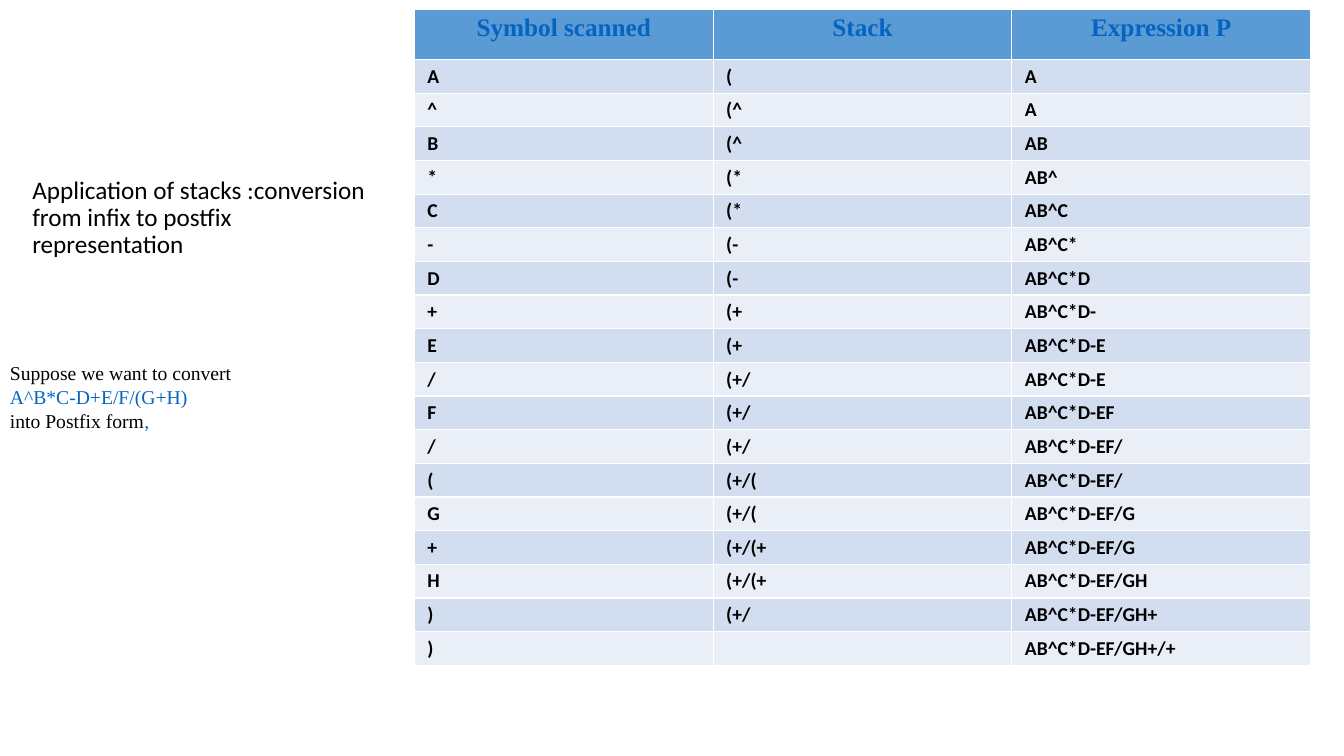
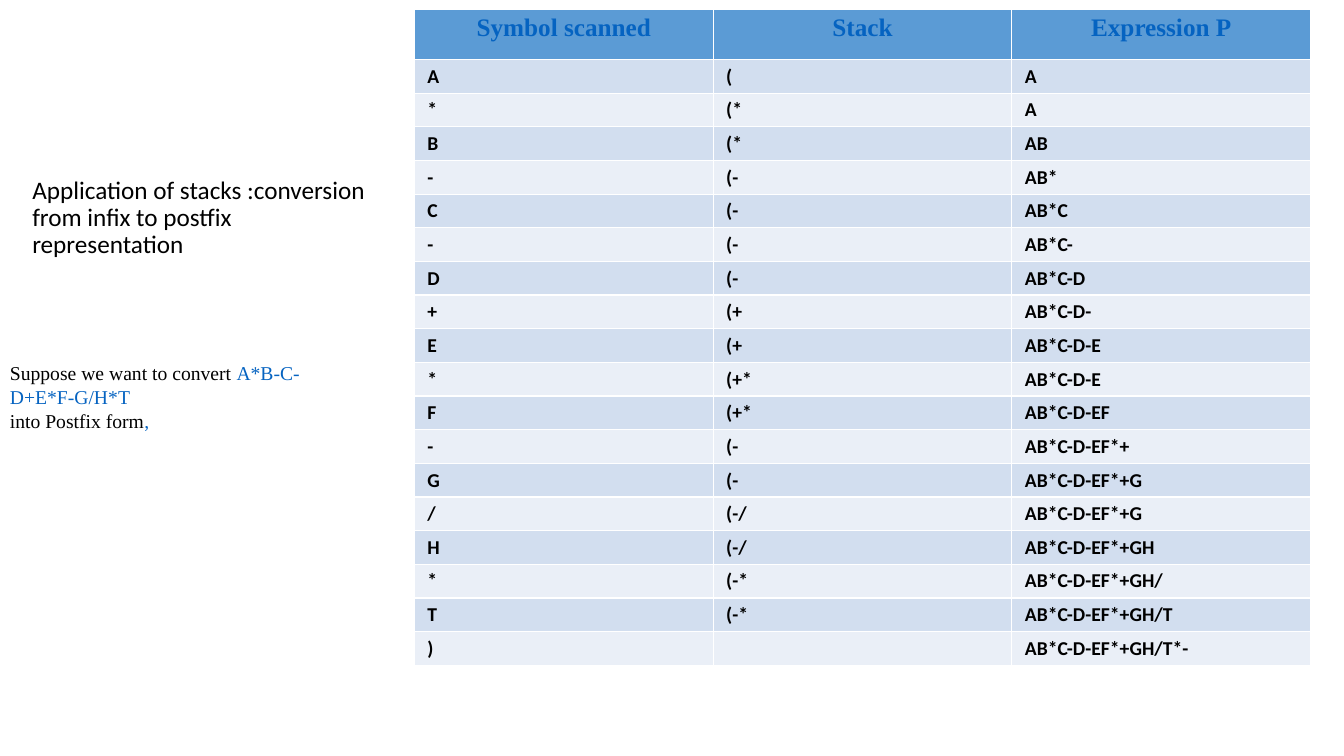
"""Build two slides tracing the stack-based conversion of infix to postfix."""
from dataclasses import dataclass

from lxml.etree import SubElement
from pptx import Presentation
from pptx.dml.color import RGBColor
from pptx.enum.text import MSO_ANCHOR as Anchor, MSO_AUTO_SIZE as AutoSize, PP_ALIGN as Align
from pptx.oxml.ns import qn
from pptx.slide import Slide
from pptx.table import _Cell as Cell
from pptx.text.text import Font
from pptx.util import Inches, Pt

BLACK = RGBColor(0x00, 0x00, 0x00)
LINK_BLUE = RGBColor(0x05, 0x63, 0xC1)
HEADER_BLUE = RGBColor(0x5B, 0x9B, 0xD5)
BANDS = (RGBColor(0xD2, 0xDE, 0xEF), RGBColor(0xEA, 0xEF, 0xF7))

SANS = "Calibri"
SERIF = "Times New Roman"
TITLE = "Application of stacks :conversion from infix to postfix representation"
HEADERS = ("Symbol scanned", "Stack", "Expression P")
TITLE_ONLY = 5


@dataclass(frozen=True)
class TextStyle:
    """Font settings of a piece of text."""
    font: str
    size: int
    color: RGBColor
    bold: bool = False


@dataclass(frozen=True)
class Conversion:
    """An infix expression and the steps (symbol, stack, output) that convert it."""
    infix: str
    steps: tuple[tuple[str, str, str], ...]


TITLE_STYLE = TextStyle(SANS, 18, BLACK)
NOTE_STYLE = TextStyle(SERIF, 14, BLACK)
EXPRESSION_STYLE = TextStyle(SERIF, 14, LINK_BLUE)
HEADER_STYLE = TextStyle(SERIF, 18, LINK_BLUE, bold=True)
BODY_STYLE = TextStyle(SANS, 14, BLACK, bold=True)

CONVERSIONS = (
    Conversion("A^B*C-D+E/F/(G+H)", (
        ("A", "(", "A"),
        ("^", "(^", "A"),
        ("B", "(^", "AB"),
        ("*", "(*", "AB^"),
        ("C", "(*", "AB^C"),
        ("-", "(-", "AB^C*"),
        ("D", "(-", "AB^C*D"),
        ("+", "(+", "AB^C*D-"),
        ("E", "(+", "AB^C*D-E"),
        ("/", "(+/", "AB^C*D-E"),
        ("F", "(+/", "AB^C*D-EF"),
        ("/", "(+/", "AB^C*D-EF/"),
        ("(", "(+/(", "AB^C*D-EF/"),
        ("G", "(+/(", "AB^C*D-EF/G"),
        ("+", "(+/(+", "AB^C*D-EF/G"),
        ("H", "(+/(+", "AB^C*D-EF/GH"),
        (")", "(+/", "AB^C*D-EF/GH+"),
        (")", "", "AB^C*D-EF/GH+/+"),
    )),
    Conversion("A*B-C-D+E*F-G/H*T", (
        ("A", "(", "A"),
        ("*", "(*", "A"),
        ("B", "(*", "AB"),
        ("-", "(-", "AB*"),
        ("C", "(-", "AB*C"),
        ("-", "(-", "AB*C-"),
        ("D", "(-", "AB*C-D"),
        ("+", "(+", "AB*C-D-"),
        ("E", "(+", "AB*C-D-E"),
        ("*", "(+*", "AB*C-D-E"),
        ("F", "(+*", "AB*C-D-EF"),
        ("-", "(-", "AB*C-D-EF*+"),
        ("G", "(-", "AB*C-D-EF*+G"),
        ("/", "(-/", "AB*C-D-EF*+G"),
        ("H", "(-/", "AB*C-D-EF*+GH"),
        ("*", "(-*", "AB*C-D-EF*+GH/"),
        ("T", "(-*", "AB*C-D-EF*+GH/T"),
        (")", "", "AB*C-D-EF*+GH/T*-"),
    )),
)


def apply_style(font: Font, style: TextStyle) -> None:
    """Give a font the settings of a text style."""
    font.name = style.font
    font.size = Pt(style.size)
    font.bold = style.bold
    font.color.rgb = style.color


def set_title(slide: Slide) -> None:
    """Place and format the title at the left of the table."""
    title = slide.shapes.title
    title.left, title.top = Inches(0.22), Inches(1.83)
    title.width, title.height = Inches(3.67), Inches(0.67)
    text_frame = title.text_frame
    text_frame.text = TITLE
    text_frame.word_wrap = True
    text_frame.auto_size = AutoSize.NONE
    text_frame.vertical_anchor = Anchor.MIDDLE
    paragraph = text_frame.paragraphs[0]
    paragraph.alignment = Align.LEFT
    paragraph.line_spacing = 0.9
    apply_style(paragraph.runs[0].font, TITLE_STYLE)


def add_note(slide: Slide, infix: str) -> None:
    """Add the sentence that names the expression to convert."""
    box = slide.shapes.add_textbox(Inches(0), Inches(3.53), Inches(3.67), Inches(0.81))
    text_frame = box.text_frame
    text_frame.word_wrap = True
    text_frame.auto_size = AutoSize.SHAPE_TO_FIT_TEXT
    text_frame.vertical_anchor = Anchor.MIDDLE
    text_frame.text = "Suppose we want to convert \ninto Postfix form"
    for paragraph, ending in zip(text_frame.paragraphs, (infix, ",")):
        apply_style(paragraph.runs[0].font, NOTE_STYLE)
        run = paragraph.add_run()
        run.text = ending
        apply_style(run.font, EXPRESSION_STYLE)


def fill_cell(cell: Cell, text: str, style: TextStyle, fill: RGBColor, alignment: Align) -> None:
    """Write and format one table cell."""
    cell.margin_left = cell.margin_right = Inches(0.13)
    cell.margin_top = cell.margin_bottom = Inches(0.05)
    cell.fill.solid()
    cell.fill.fore_color.rgb = fill
    paragraph = cell.text_frame.paragraphs[0]
    paragraph.alignment = alignment
    if text:
        paragraph.text = text
        apply_style(paragraph.runs[0].font, style)
    else:
        SubElement(paragraph._p, qn("a:endParaRPr"), sz=str(style.size * 100))


def add_steps_table(slide: Slide, steps: tuple[tuple[str, str, str], ...]) -> None:
    """Add the table of conversion steps under its header row."""
    frame = slide.shapes.add_table(
        len(steps) + 1, len(HEADERS), Inches(4.11), Inches(0.09), Inches(8.89), Inches(6.5))
    table = frame.table
    for row_index, values in enumerate((HEADERS, *steps)):
        is_header = row_index == 0
        table.rows[row_index].height = Inches(0.5 if is_header else 0.33)
        style = HEADER_STYLE if is_header else BODY_STYLE
        fill = HEADER_BLUE if is_header else BANDS[(row_index - 1) % 2]
        alignment = Align.CENTER if is_header else Align.LEFT
        for column_index, text in enumerate(values):
            fill_cell(table.cell(row_index, column_index), text, style, fill, alignment)


def main() -> None:
    """Build and save the presentation."""
    presentation = Presentation()
    presentation.slide_width, presentation.slide_height = Inches(13.33), Inches(7.5)
    for conversion in CONVERSIONS:
        slide = presentation.slides.add_slide(presentation.slide_layouts[TITLE_ONLY])
        set_title(slide)
        add_note(slide, conversion.infix)
        add_steps_table(slide, conversion.steps)
    presentation.save("out.pptx")


if __name__ == "__main__":
    main()
